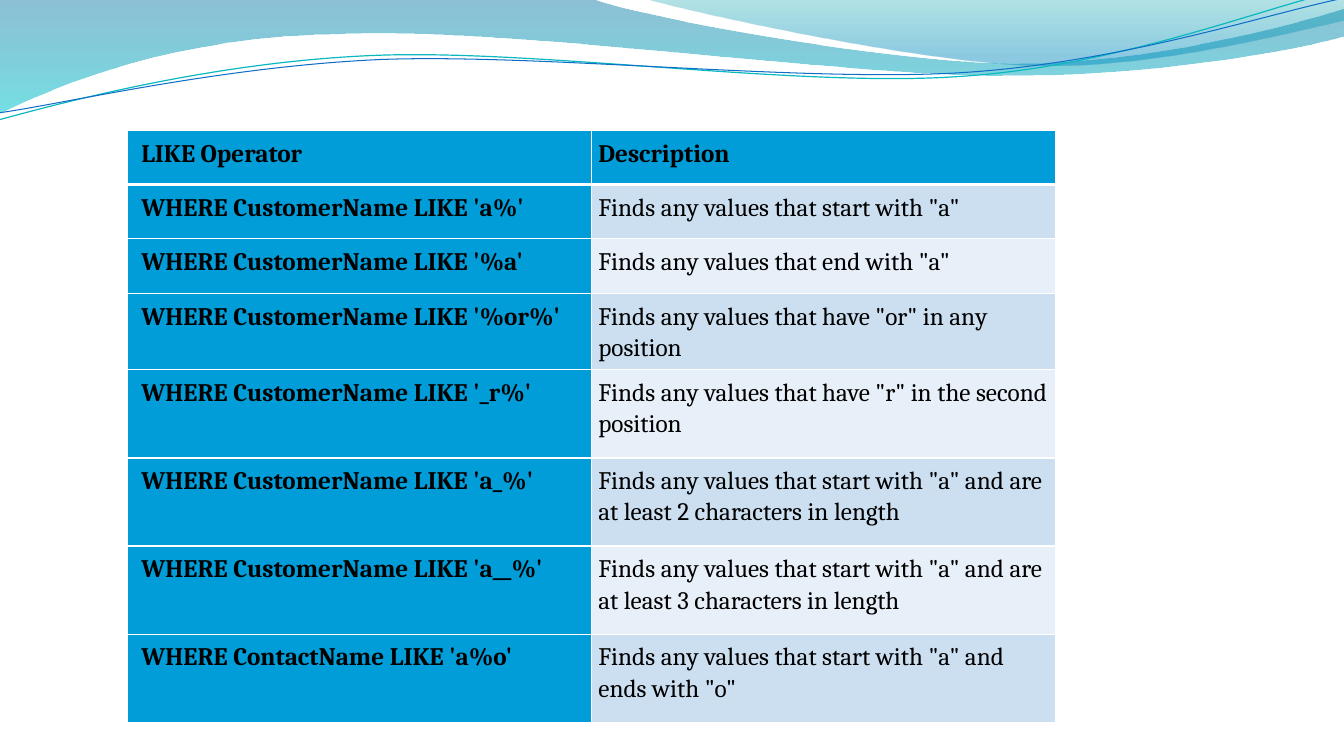
"""Build a slide with a wave header and a table of LIKE operator patterns."""
from math import cos, radians, sin

from lxml.etree import SubElement as Sub
from pptx import Presentation
from pptx.dml.color import RGBColor as RGB
from pptx.oxml.ns import qn
from pptx.util import Cm, Pt

COLORS = {
    "text": "000000", "white": "FFFFFF", "head": "009DD9",
    "band_dark": "CCDFF1", "band_light": "E7EFF8",
    "wave_blue": "0074A1", "wave_cyan": "00C6CF",
    "crest_green": "00A1A9", "crest_blue": "008BBF",
    "line_teal": "0AB8BF", "line_blue": "0F6FC6",
}
WAVES = [
    ([(0, 0), (14.91, -0.03),
      (16.1, 0.43, 22.48, 1.6, 25.68, 1.6), (28.91, 1.6, 32.46, 0.66, 33.86, 0.23),
      (33.91, 0.91), (33.3, 1.12, 29.46, 1.93, 25.25, 1.91),
      (21.06, 1.91, 12.93, 0.71, 8.71, 0.86), (4.37, 0.91, 1.55, 2.11, -0.03, 2.87),
      (0, 0)],
     [(0, "wave_blue", 45), (1, "wave_cyan", 55)]),
    ([(16.23, -0.03), (17.25, 0.28, 23.09, 1.57, 26.04, 1.65),
      (28.98, 1.75, 32.56, 0.81, 33.86, 0.53), (33.86, 0), (16.23, -0.03)],
     [(0, "crest_green", 30), (0.8, "crest_blue", 45)]),
]
TILT = -2.7
LINES = [
    ([(-0.03, 3.02), (1.63, 2.57, 5.36, 1.57, 9.37, 1.4),
      (13.39, 1.22, 20.07, 2.21, 24.13, 1.93), (28.19, 1.68, 31.8, 0.2, 33.81, -0.25)],
     (16.89, 1.46), "line_teal", 0.85),
    ([(0, 2.84), (1.6, 2.62, 5.54, 1.68, 9.6, 1.5),
      (13.64, 1.35, 20.22, 2.08, 24.26, 1.83), (28.32, 1.57, 31.88, 0.36, 33.88, -0.05)],
     (16.94, 1.5), "line_blue", 0.75),
]
ROWS = [
    ("LIKE Operator", "Description"),
    ("WHERE CustomerName LIKE 'a%'", 'Finds any values that start with "a"'),
    ("WHERE CustomerName LIKE '%a'", 'Finds any values that end with "a"'),
    ("WHERE CustomerName LIKE '%or%'", 'Finds any values that have "or" in any position'),
    ("WHERE CustomerName LIKE '_r%'",
     'Finds any values that have "r" in the second position'),
    ("WHERE CustomerName LIKE 'a_%'",
     'Finds any values that start with "a" and are at least 2 characters in length'),
    ("WHERE CustomerName LIKE 'a__%'",
     'Finds any values that start with "a" and are at least 3 characters in length'),
    ("WHERE ContactName LIKE 'a%o'",
     'Finds any values that start with "a" and ends with "o"'),
]


def rgb(name):
    return RGB.from_string(COLORS[name])


def write(tf, text, size=18, bold=False, color="text", font="Cambria", spacing=1.07):
    p = tf.paragraphs[0]
    p.line_spacing = spacing
    r = p.add_run()
    r.text = text
    r.font.size, r.font.bold, r.font.name = Pt(size), bold, font
    r.font.color.rgb = rgb(color)


def pairs(segment):
    return list(zip(segment[::2], segment[1::2]))


def turn(segments, center, degrees):
    c, s = cos(radians(degrees)), sin(radians(degrees))
    cx, cy = center
    return [tuple(v for x, y in pairs(seg)
                  for v in (cx + (x - cx) * c - (y - cy) * s,
                            cy + (x - cx) * s + (y - cy) * c))
            for seg in segments]


def add_outline(slide, left, top, segments, close):
    points = [(Cm(left + x), Cm(top + y)) for seg in segments for x, y in pairs(seg)]
    builder = slide.shapes.build_freeform(*points[0])
    builder.add_line_segments(points[1:], close=close)
    sp = builder.convert_to_shape()
    sp.shadow.inherit = False
    steps = iter(list(sp._element.iter(qn("a:lnTo"))))
    for seg in segments[1:]:
        step = next(steps)
        if len(seg) == 6:
            curve = step.makeelement(qn("a:cubicBezTo"))
            step.addprevious(curve)
            for part in (step, next(steps), next(steps)):
                curve.append(part[0])
                part.getparent().remove(part)
    return sp


def add_header(slide, left, top):
    for segments, stops in WAVES:
        sp = add_outline(slide, left, top, segments, True)
        sp.line.fill.background()
        sp.fill.gradient()
        sp.fill.gradient_angle = 270
        for stop, (position, color, _) in zip(sp.fill.gradient_stops, stops):
            stop.position = position
            stop.color.rgb = rgb(color)
        clrs = sp._element.spPr.iter(qn("a:srgbClr"))
        for clr, (_, _, opacity) in zip(list(clrs), stops):
            Sub(clr, qn("a:alpha"), val=str(opacity * 1000))
    for segments, center, color, width in LINES:
        sp = add_outline(slide, left, top, turn(segments, center, -TILT), False)
        sp.rotation = TILT
        sp.fill.background()
        sp.line.color.rgb = rgb(color)
        sp.line.width = Pt(width)


def set_borders(cell, bottom):
    tcPr = cell._tc.get_or_add_tcPr()
    for side, width in (("L", 1), ("R", 1), ("T", 1), ("B", bottom)):
        ln = Sub(tcPr, qn(f"a:ln{side}"), w=str(Pt(width)))
        Sub(Sub(ln, qn("a:solidFill")), qn("a:srgbClr"), val=COLORS["white"])


def add_operator_table(slide, left, top, width, short=1.37, tall=2.22):
    heights = [short] * 4 + [tall] * 4
    frame = slide.shapes.add_table(len(ROWS), 2, Cm(left), Cm(top),
                                   Cm(width), Cm(sum(heights)))
    table = frame.table
    for col in table.columns:
        col.width = Cm(width / 2)
    for i, (texts, height) in enumerate(zip(ROWS, heights)):
        table.rows[i].height = Cm(height)
        for j, text in enumerate(texts):
            cell = table.cell(i, j)
            is_head = i == 0 or j == 0
            set_borders(cell, 3 if i == 0 else 1)
            cell.fill.solid()
            band = "band_dark" if i % 2 else "band_light"
            cell.fill.fore_color.rgb = rgb("head" if is_head else band)
            cell.margin_left = Cm(0.18 if j else 0.36)
            cell.margin_right = cell.margin_top = cell.margin_bottom = Cm(0.18)
            write(cell.text_frame, text, bold=is_head)


def main():
    prs = Presentation()
    prs.slide_width, prs.slide_height = Cm(33.87), Cm(19.05)
    s = prs.slides.add_slide(prs.slide_layouts[6])
    add_header(s, 0, 0)
    add_operator_table(s, 3.2, 3.28, 23.4)
    prs.save("out.pptx")


main()
